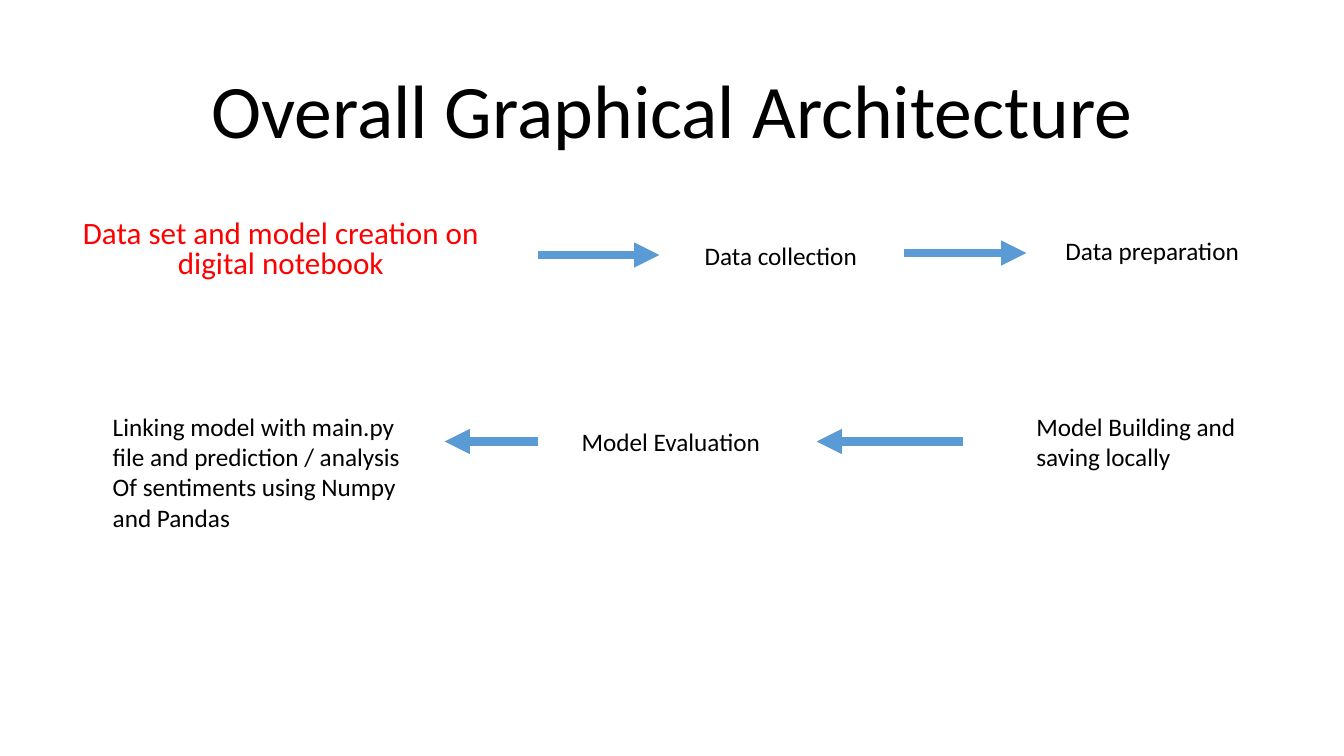
import pptx
import pptx.dml.color
import pptx.enum.shapes
import pptx.enum.text
import pptx.oxml.ns
import pptx.util
from lxml import etree

WIDTH = pptx.util.Inches(13.33)
HEIGHT = pptx.util.Inches(7.5)
FONT = "Calibri"
BLACK = "000000"
RED = "FF0000"
BLUE = "5B9BD5"
CENTER = pptx.enum.text.PP_ALIGN.CENTER
LEFT = pptx.enum.text.PP_ALIGN.LEFT

STEPS = [
    ("Data collection", 51.69, 31.07, 15.3, 5.33),
    ("Data preparation", 78.54, 30.53, 15.15, 5.33),
    ("Model Building and saving locally", 76.37, 53.73, 18, 9.47),
    ("Model Evaluation", 42.54, 55.73, 18.3, 5.33),
    ("Linking model with main.py file and prediction / analysis\n"
     "Of sentiments using Numpy and Pandas", 7.65, 53.73, 23.11, 17.47),
]
ARROWS = [
    (40.06, 49.06, 33.73),
    (67.29, 76.37, 33.47),
    (71.64, 60.77, 58.4),
    (40.06, 33.08, 58.4),
]


def color(value):
    """Turn a hex string into a colour."""
    return pptx.dml.color.RGBColor.from_string(value)


def across(share):
    """Turn a percentage of the slide width into a length."""
    return round(WIDTH * share / 100)


def down(share):
    """Turn a percentage of the slide height into a length."""
    return round(HEIGHT * share / 100)


def write(shape, text, size, fill=BLACK, align=LEFT, spacing=1.0):
    """Set the text of a shape and format its paragraphs."""
    frame = shape.text_frame
    frame.text = text
    frame.word_wrap = True
    for paragraph in frame.paragraphs:
        paragraph.alignment = align
        paragraph.line_spacing = spacing
        for run in paragraph.runs:
            run.font.name = FONT
            run.font.size = pptx.util.Pt(size)
            run.font.color.rgb = color(fill)


def add_title(slide, text, left, top, width, height):
    """Place and format the title placeholder."""
    title = slide.shapes.title
    title.left, title.top = across(left), down(top)
    title.width, title.height = across(width), down(height)
    write(title, text, 54, align=CENTER, spacing=0.9)
    title.text_frame.vertical_anchor = pptx.enum.text.MSO_ANCHOR.BOTTOM


def add_label(slide, text, left, top, width, height, size=18, **style):
    """Add a wrapped text box."""
    box = slide.shapes.add_textbox(across(left), down(top), across(width), down(height))
    write(box, text, size, **style)


def add_arrow(slide, start, end, level):
    """Add a thick horizontal arrow between two steps."""
    arrow = slide.shapes.add_connector(
        pptx.enum.shapes.MSO_CONNECTOR.STRAIGHT,
        across(start), down(level), across(end), down(level))
    arrow.line.color.rgb = color(BLUE)
    arrow.line.width = pptx.util.Pt(6)
    qualified = pptx.oxml.ns.qn
    line = arrow.line._get_or_add_ln()
    etree.SubElement(line, qualified("a:tailEnd"), type="triangle")
    etree.SubElement(line.getparent(), qualified("a:effectLst"))


def main():
    """Build the architecture slide and save it."""
    presentation = pptx.Presentation()
    presentation.slide_width, presentation.slide_height = WIDTH, HEIGHT
    slide = presentation.slides.add_slide(presentation.slide_layouts.get_by_name("Title Only"))
    add_title(slide, "Overall Graphical Architecture", 12.5, 5.73, 75, 15.47)
    add_label(slide, "Data set and model creation on digital notebook",
              3.75, 28.53, 34.28, 9.33, size=22.2, fill=RED, align=CENTER, spacing=0.8)
    for step in STEPS:
        add_label(slide, *step)
    for arrow in ARROWS:
        add_arrow(slide, *arrow)
    presentation.save("out.pptx")


if __name__ == "__main__":
    main()
